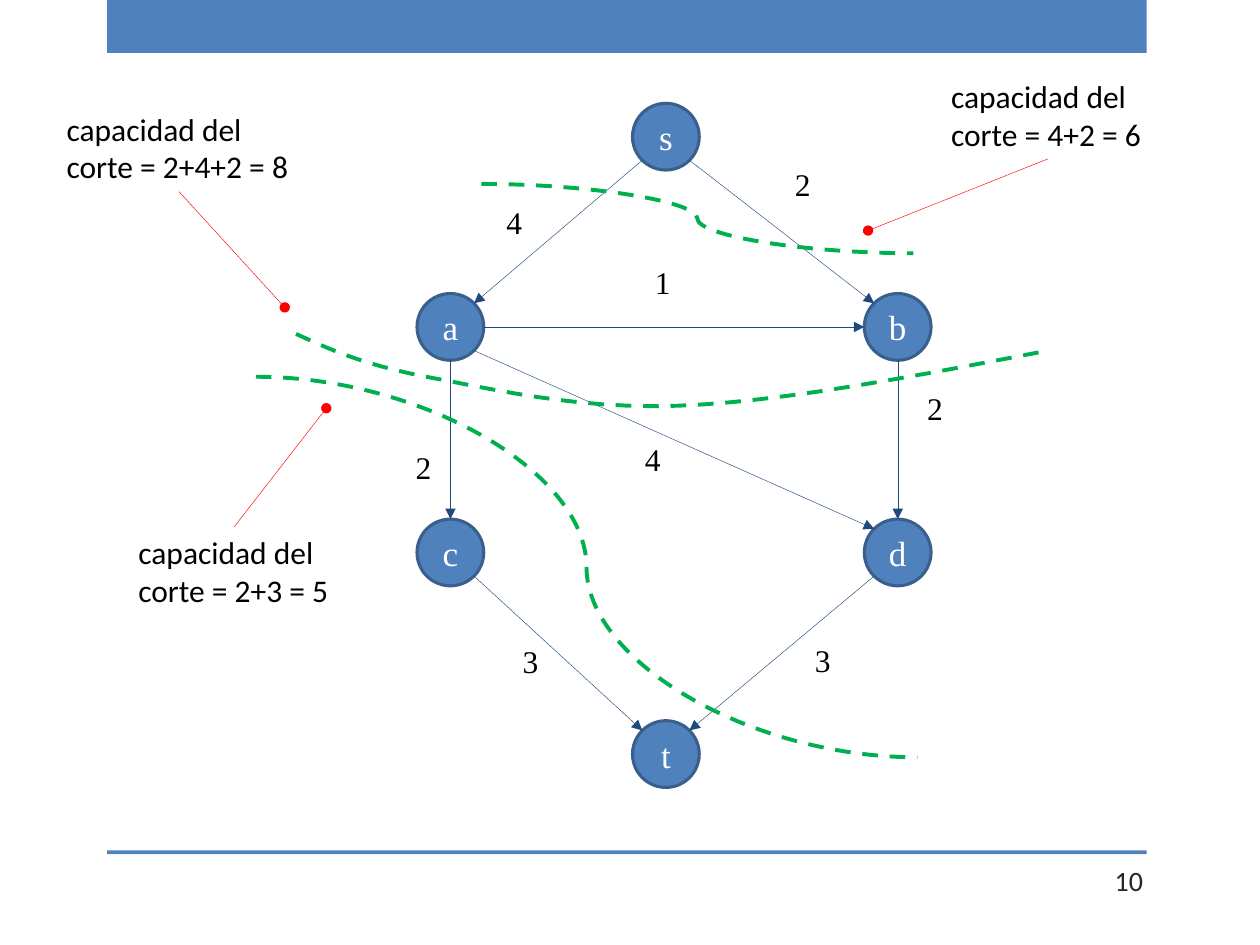
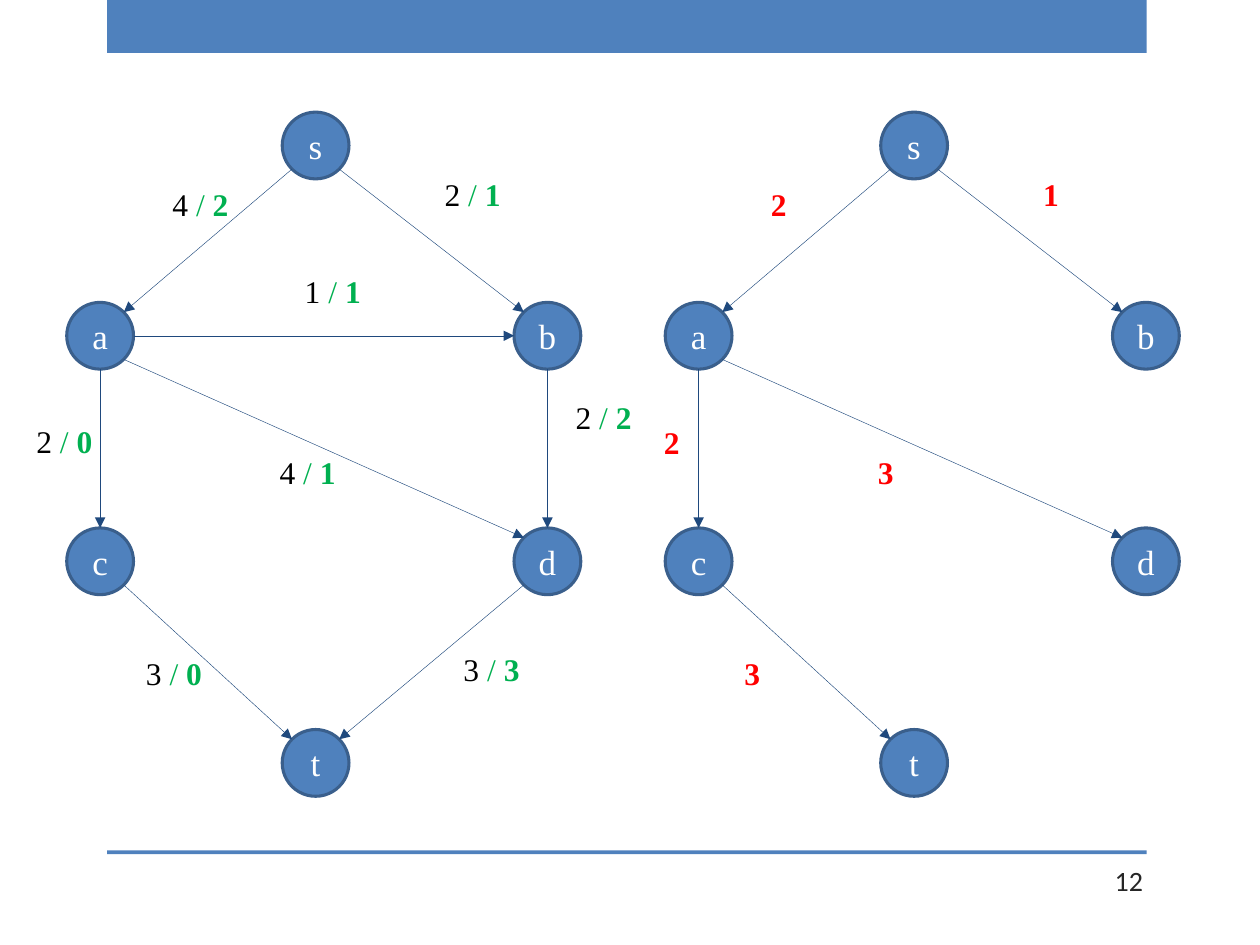
from math import cos, pi, sin

from lxml import etree
from pptx import Presentation
from pptx.dml.color import RGBColor
from pptx.enum.dml import MSO_LINE
from pptx.enum.shapes import MSO_CONNECTOR, MSO_SHAPE
from pptx.enum.text import MSO_ANCHOR, MSO_AUTO_SIZE, PP_ALIGN
from pptx.oxml.ns import qn
from pptx.util import Inches, Pt

RECTANGLE, ELLIPSE = MSO_SHAPE.RECTANGLE, MSO_SHAPE.OVAL
STRAIGHT, CURVE = MSO_CONNECTOR.STRAIGHT, MSO_CONNECTOR.CURVE
DASH = MSO_LINE.DASH
LEFT, CENTER, RIGHT = PP_ALIGN.LEFT, PP_ALIGN.CENTER, PP_ALIGN.RIGHT
MIDDLE, TOP = MSO_ANCHOR.MIDDLE, MSO_ANCHOR.TOP
GROW, FIXED = MSO_AUTO_SIZE.SHAPE_TO_FIT_TEXT, MSO_AUTO_SIZE.NONE

hex_color = RGBColor.from_string
BLUE, NODE_EDGE, NAVY = "4F81BD", "3A5F8C", "1F497D"
GREEN, RED, BLACK, WHITE, GREY = "00B050", "FF0000", "000000", "FFFFFF", "262626"

SERIF, SANS = "Times New Roman", "Calibri"
NODE_FONT = {"name": SERIF, "size": Pt(20), "bold": False}
LABEL_FONT = {"name": SERIF, "size": Pt(18), "bold": False}
STRONG_FONT = {**LABEL_FONT, "bold": True}
NOTE_FONT = {"name": SANS, "size": Pt(18)}
NUMBER_FONT = {"name": SANS, "size": Pt(16)}

NODE_FRAME = {"word_wrap": True, "auto_size": FIXED, "vertical_anchor": MIDDLE,
              "margin_left": 0, "margin_right": 0, "margin_top": 0, "margin_bottom": 0}
NUMBER_FRAME = {"word_wrap": True, "auto_size": FIXED, "vertical_anchor": MIDDLE}
LABEL_FRAME = {"word_wrap": False, "auto_size": GROW, "vertical_anchor": TOP}

NODE_SIZE = 0.53
COLUMNS = (0, 1.71, 3.55)
ROWS = (0, 1.51, 3.3, 4.9)
NODES = {"s": (1, 0), "t": (1, 3), "a": (0, 1), "b": (2, 1), "c": (0, 2), "d": (2, 2)}
# Sites run counterclockwise from the top of a node in steps of 45 degrees.
EDGES = {"sa": (3, 7), "sb": (5, 1), "ab": (6, 2), "ac": (4, 0),
         "bd": (4, 0), "ad": (5, 1), "ct": (5, 1), "dt": (3, 7)}


def write(box, paragraphs, align, frame_format):
    frame = box.text_frame
    for name, value in frame_format.items():
        setattr(frame, name, value)
    for index, spans in enumerate(paragraphs):
        para = frame.paragraphs[0] if index == 0 else frame.add_paragraph()
        para.alignment = align
        for text, color, font_format in spans:
            span = para.add_run()
            span.text = text
            span.font.color.rgb = hex_color(color)
            for name, value in font_format.items():
                setattr(span.font, name, value)


def stroke(shape, color, width, tail=None, dash=None):
    shape.line.color.rgb = hex_color(color)
    shape.line.width = Pt(width)
    if dash:
        shape.line.dash_style = dash
    properties = shape._element.spPr
    if tail:
        etree.SubElement(properties.find(qn("a:ln")), qn("a:tailEnd"), type=tail)
    etree.SubElement(properties, qn("a:effectLst"))


capacities = {"sa": (3.92, 1.56, "4"), "sb": (6.21, 1.26, "2"), "ab": (5.1, 2.04, "1"),
              "ac": (3.2, 3.51, "2"), "ad": (5.02, 3.44, "4"), "bd": (7.26, 3.04, "2"),
              "ct": (4.05, 5.05, "3"), "dt": (6.37, 5.04, "3")}
flows = {"sa": (1.27, 1.42, "4", "2"), "sb": (3.43, 1.34, "2", "1"),
         "ab": (2.32, 2.11, "1", "1"), "ac": (0.19, 3.3, "2", "0"),
         "ad": (2.12, 3.55, "4", "1"), "bd": (4.47, 3.11, "2", "2"),
         "ct": (1.06, 5.14, "3", "0"), "dt": (3.58, 5.11, "3", "3")}
residuals = {"sa": (6.02, 1.42, "2"), "sb": (8.18, 1.34, "1"), "ac": (5.17, 3.31, "2"),
             "ad": (6.87, 3.55, "3"), "ct": (5.81, 5.14, "3")}

slides = [
    ("10", [(3.31, 0.82, capacities, BLACK, LABEL_FONT)]),
    ("12", [(0.53, 0.89, flows, BLACK, LABEL_FONT),
            (5.28, 0.89, residuals, RED, STRONG_FONT)]),
]

deck = Presentation()
deck.slide_width, deck.slide_height = Inches(10), Inches(7.5)

for number, graphs in slides:
    page = deck.slides.add_slide(deck.slide_layouts[6])
    for top, height in ((0, 0.42), (6.75, 0.03)):
        band = page.shapes.add_shape(
            RECTANGLE, Inches(0.85), Inches(top), Inches(8.25), Inches(height))
        band.shadow.inherit = False
        band.fill.solid()
        band.fill.fore_color.rgb = hex_color(BLUE)
        band.line.fill.background()
    box = page.shapes.add_textbox(Inches(8.34), Inches(6.79), Inches(0.83), Inches(0.4))
    write(box, [[(number, GREY, NUMBER_FONT)]], RIGHT, NUMBER_FRAME)

    for graph_left, graph_top, labels, label_color, label_font in graphs:
        nodes = {}
        for name, (column, row) in NODES.items():
            node = page.shapes.add_shape(
                ELLIPSE, Inches(graph_left + COLUMNS[column]), Inches(graph_top + ROWS[row]),
                Inches(NODE_SIZE), Inches(NODE_SIZE))
            node.fill.solid()
            node.fill.fore_color.rgb = hex_color(BLUE)
            stroke(node, NODE_EDGE, 1.75)
            write(node, [[(name, WHITE, NODE_FONT)]], CENTER, NODE_FRAME)
            nodes[name] = node

        for edge, sites in EDGES.items():
            if edge not in labels:
                continue
            ends = []
            for name, site in zip(edge, sites):
                node = nodes[name]
                ends += [round(node.left + node.width * (1 - sin(site * pi / 4)) / 2),
                         round(node.top + node.height * (1 - cos(site * pi / 4)) / 2)]
            arrow = page.shapes.add_connector(STRAIGHT, *ends)
            stroke(arrow, NAVY, 0.25, tail="triangle")
            joints = arrow._element.nvCxnSpPr.cNvCxnSpPr
            for tag, name, site in zip(("a:stCxn", "a:endCxn"), edge, sites):
                etree.SubElement(joints, qn(tag), id=str(nodes[name].shape_id), idx=str(site))

        for left, top, value, *flow in labels.values():
            spans = [(value, label_color, label_font)]
            if flow:
                spans += [(" / ", GREEN, LABEL_FONT), (flow[0], GREEN, STRONG_FONT)]
            box = page.shapes.add_textbox(
                Inches(left), Inches(top), Inches(0.65 if flow else 0.33), Inches(0.4))
            write(box, [spans], LEFT, LABEL_FRAME)

cuts_page = deck.slides[0]
notes = [
    (0.43, 0.82, 1.99, "corte = 2+4+2 = 8", (1.42, 1.52, 2.26, 2.44)),
    (1, 4.18, 1.73, "corte = 2+3 = 5", (1.86, 4.18, 2.59, 3.24)),
    (7.45, 0.56, 1.73, "corte = 4+2 = 6", (8.32, 1.26, 6.89, 1.83)),
]
for left, top, width, capacity, pointer_ends in notes:
    box = cuts_page.shapes.add_textbox(Inches(left), Inches(top), Inches(width), Inches(0.71))
    write(box, [[(line, BLACK, NOTE_FONT)] for line in ("capacidad del", capacity)],
          LEFT, LABEL_FRAME)
    pointer = cuts_page.shapes.add_connector(STRAIGHT, *map(Inches, pointer_ends))
    stroke(pointer, RED, 0.25, tail="oval")

for cut_ends in ((2.03, 2.99, 7.28, 6.01), (3.82, 1.46, 7.25, 2.01)):
    cut = cuts_page.shapes.add_connector(CURVE, *map(Inches, cut_ends))
    stroke(cut, GREEN, 2.25, dash=DASH)

bends = [(2.35, 2.65), (2.61, 2.77), (2.87, 2.89), (3.38, 2.99), (3.88, 3.08),
         (4.56, 3.25), (5.38, 3.22), (6.2, 3.19), (7.24, 2.99), (8.28, 2.79)]
STEPS = 12
points = []
for first in range(0, len(bends) - 1, 3):
    for step in range(1, STEPS + 1):
        t = step / STEPS
        weights = ((1 - t) ** 3, 3 * t * (1 - t) ** 2, 3 * t ** 2 * (1 - t), t ** 3)
        curve = bends[first:first + 4]
        points.append(tuple(Inches(sum(weight * bend[axis] for weight, bend in zip(weights, curve)))
                            for axis in (0, 1)))
builder = cuts_page.shapes.build_freeform(*map(Inches, bends[0]))
builder.add_line_segments(points, close=False)
middle_cut = builder.convert_to_shape()
middle_cut.fill.background()
stroke(middle_cut, GREEN, 2.25, dash=DASH)

deck.save("out.pptx")
